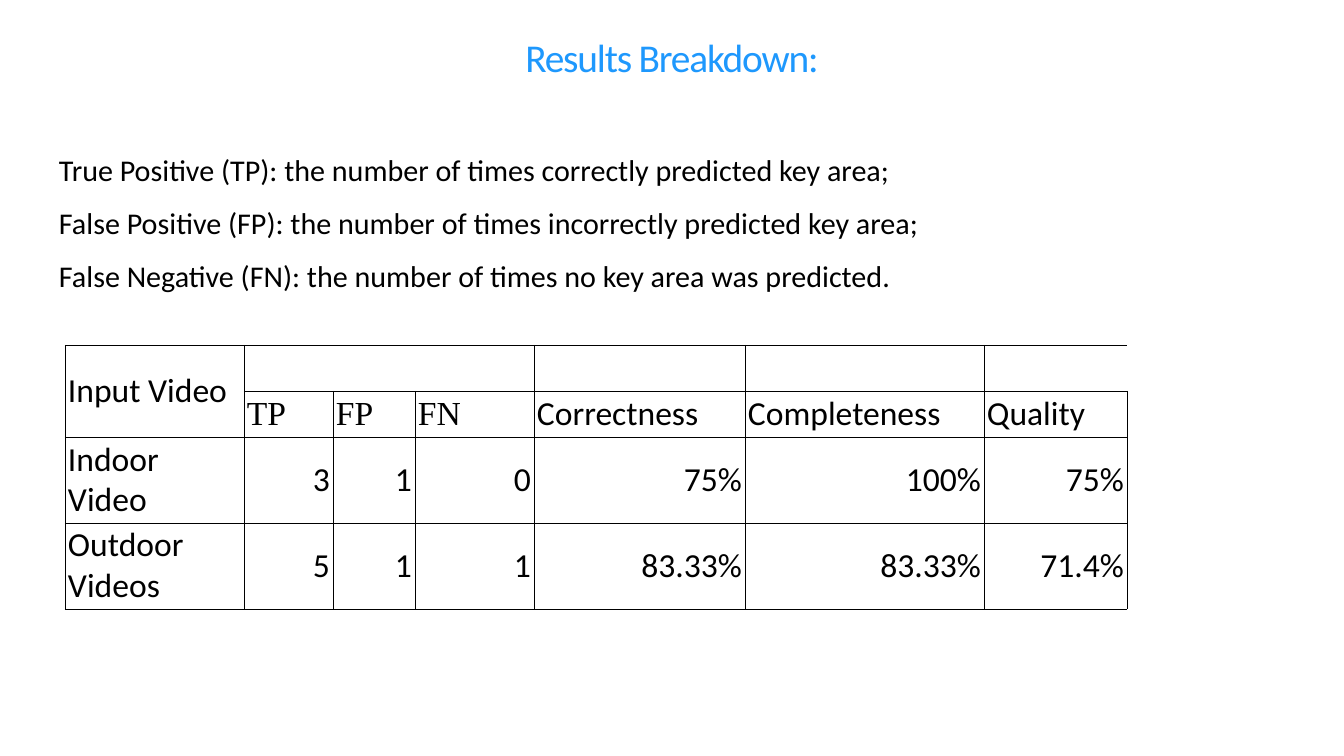
from pptx import Presentation
from pptx.dml.color import RGBColor
from pptx.enum.text import MSO_ANCHOR, MSO_AUTO_SIZE, PP_ALIGN
from pptx.oxml.ns import qn
from pptx.util import Pt
from lxml.etree import SubElement

PIXEL = 18143
BLUE = RGBColor(0x1E, 0x98, 0xFD)
BLACK = RGBColor(0, 0, 0)
WHITE = RGBColor(255, 255, 255)
DEFINITIONS = [
    "True Positive (TP): the number of times correctly predicted key area;",
    "False Positive (FP): the number of times incorrectly predicted key area;",
    "False Negative (FN): the number of times no key area was predicted.",
]
COLUMN_WIDTHS = [179, 89, 82, 119, 211, 239, 143]
ROW_HEIGHTS = [46, 46, 86, 86]
RESULTS = [
    ["Input Video", "", "", "", "", "", ""],
    ["", "TP", "FP", "FN", "Correctness", "Completeness", "Quality"],
    ["Indoor Video", "3", "1", "0", "75%", "100%", "75%"],
    ["Outdoor Videos", "5", "1", "1", "83.33%", "83.33%", "71.4%"],
]


def px(*lengths):
    """Turn pixel lengths into a list of EMU."""
    return [length * PIXEL for length in lengths]


def write(frame, *lines, size, font="Calibri", color=BLACK, align=PP_ALIGN.LEFT, gap=0, spacing=None):
    """Write one formatted paragraph per line into a text frame."""
    for index, line in enumerate(lines):
        para = frame.add_paragraph() if index else frame.paragraphs[0]
        para.alignment = align
        para.space_before = Pt(gap if index else 0)
        span = para.add_run()
        span.text = line
        span.font.size = Pt(size)
        span.font.name = font
        span.font.color.rgb = color
        if spacing is not None:
            span.font._element.set("spc", str(spacing))


def prepare(frame):
    """Give a text frame small insets, wrapping and middle anchoring."""
    frame.margin_left, frame.margin_top, frame.margin_right, frame.margin_bottom = px(3, 3, 3, 3)
    frame.word_wrap = True
    frame.auto_size = MSO_AUTO_SIZE.NONE
    frame.vertical_anchor = MSO_ANCHOR.MIDDLE


def add_title(page, left, top, width, height):
    """Place the heading in the title placeholder."""
    title = page.shapes.title
    title.left, title.top, title.width, title.height = px(left, top, width, height)
    prepare(title.text_frame)
    write(title.text_frame, "Results Breakdown:", size=56.3, color=BLUE,
          align=PP_ALIGN.CENTER, spacing=-170)


def add_definitions(page, left, top, width, height):
    """Place the definitions of the three counts."""
    box = page.placeholders[1]
    box.left, box.top, box.width, box.height = px(left, top, width, height)
    prepare(box.text_frame)
    write(box.text_frame, *DEFINITIONS, size=43, gap=24)
    for para in box.text_frame.paragraphs:
        properties = para._p.get_or_add_pPr()
        properties.set("marL", "0")
        properties.set("indent", "0")
        SubElement(properties, qn("a:buNone"))


def outline(cell, open_right):
    """Draw thin black borders, leaving the right side open on request."""
    properties = cell._tc.get_or_add_tcPr()
    for side in ("L", "R", "T", "B"):
        line = SubElement(properties, qn(f"a:ln{side}"), w="3175")
        if side == "R" and open_right:
            SubElement(line, qn("a:noFill"))
        else:
            fill = SubElement(line, qn("a:solidFill"))
            SubElement(fill, qn("a:srgbClr"), val=str(BLACK))


def add_results(page, left, top):
    """Place the results table with its merged header cells."""
    width, height = sum(COLUMN_WIDTHS), sum(ROW_HEIGHTS)
    table = page.shapes.add_table(len(ROW_HEIGHTS), len(COLUMN_WIDTHS),
                                  *px(left, top, width, height)).table
    table.first_row = table.horz_banding = False
    for column, length in zip(table.columns, px(*COLUMN_WIDTHS)):
        column.width = length
    for row, length in zip(table.rows, px(*ROW_HEIGHTS)):
        row.height = length
    table.cell(0, 0).merge(table.cell(1, 0))
    table.cell(0, 1).merge(table.cell(0, 3))
    for row, values in enumerate(RESULTS):
        for column, value in enumerate(values):
            cell = table.cell(row, column)
            cell.margin_left, cell.margin_right, cell.margin_top, cell.margin_bottom = px(3, 3, 2, 2)
            cell.vertical_anchor = MSO_ANCHOR.MIDDLE
            outline(cell, open_right=row == 0 and column == len(values) - 1)
            cell.fill.background()
            if value:
                write(cell.text_frame, value, size=48,
                      font="Times New Roman" if row == 1 and column < 4 else "Calibri",
                      align=PP_ALIGN.RIGHT if row > 1 and column else PP_ALIGN.LEFT)


def main():
    """Build and save the deck."""
    deck = Presentation()
    deck.slide_width, deck.slide_height = px(1344, 756)
    page = deck.slides.add_slide(deck.slide_layouts[1])
    page.background.fill.solid()
    page.background.fill.fore_color.rgb = WHITE
    add_title(page, 481, 27, 382, 59)
    add_definitions(page, 56, 144, 1004, 157)
    add_results(page, 65, 345)
    deck.save("out.pptx")


if __name__ == "__main__":
    main()
